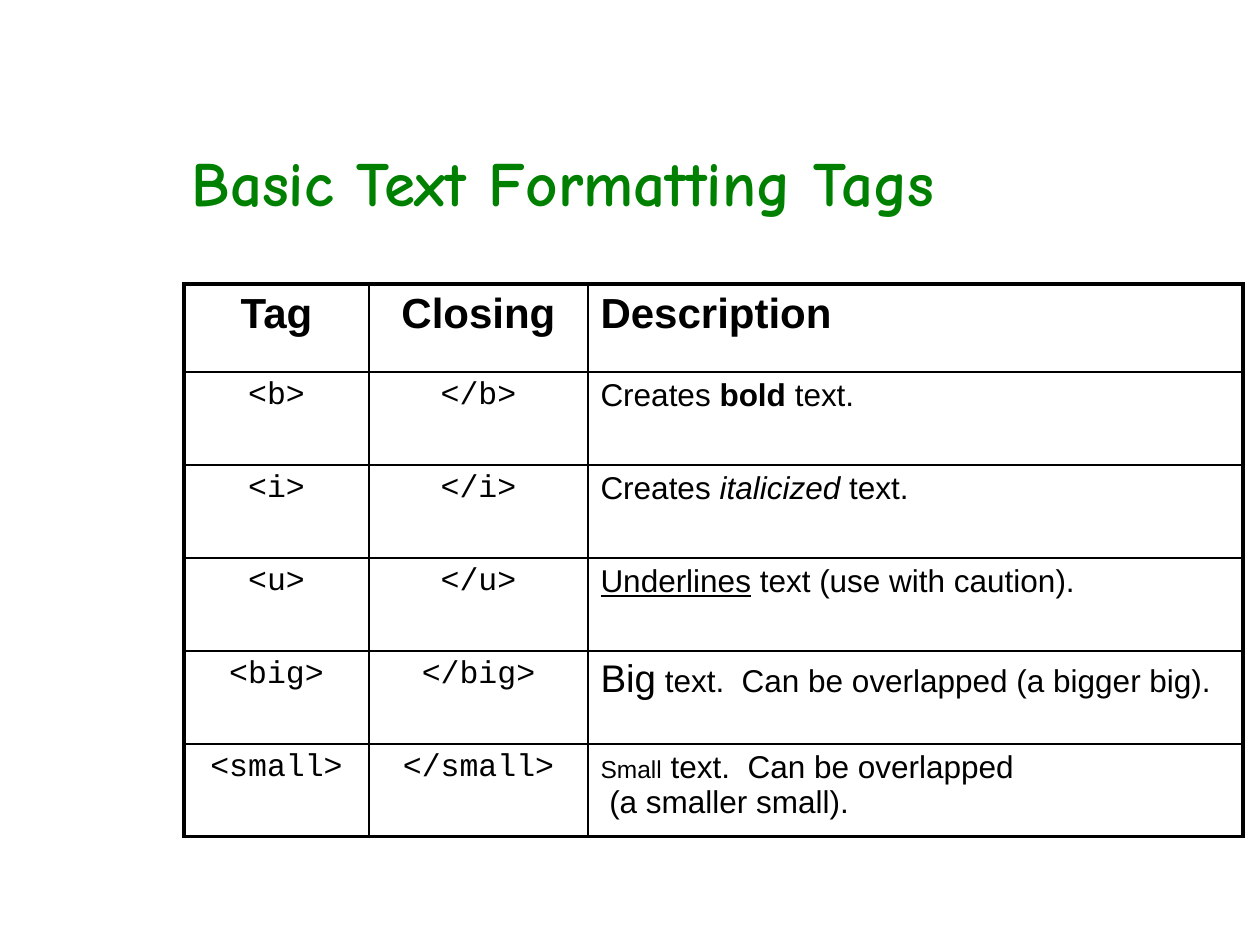
from lxml.etree import SubElement
from pptx import Presentation
from pptx.dml.color import RGBColor
from pptx.enum.text import MSO_ANCHOR as ANCHOR, MSO_AUTO_SIZE as AUTO, PP_ALIGN as ALIGN
from pptx.oxml.ns import qn
from pptx.util import Emu, Pt

PX_PER_INCH = 126
GREEN = RGBColor(0x00, 0x80, 0x00)
BLACK = RGBColor(0x00, 0x00, 0x00)
SANS, MONO, COMIC = "Arial", "Courier New", "Comic Neue"
THIN, THICK = 1, 2.25


def px(n):
    return Emu(round(n * 914400 / PX_PER_INCH))


class Deck:
    def __init__(self, width, height):
        self.prs = Presentation()
        self.prs.slide_width, self.prs.slide_height = px(width), px(height)
        self.s = self.prs.slides.add_slide(self.prs.slide_layouts[5])

    def run(self, p, text, size=18, font=SANS, color=BLACK, **style):
        """Add text to a paragraph; a newline becomes a line break."""
        for i, line in enumerate(text.split("\n")):
            if i:
                p.add_line_break()
            r = p.add_run()
            r.text = line
            r.font.size, r.font.name = Pt(size), font
            r.font.color.rgb = color
            for name, value in style.items():
                setattr(r.font, name, value)

    def title(self, text, x, y, w, h):
        sp = self.s.shapes.title
        sp.left, sp.top, sp.width, sp.height = px(x), px(y), px(w), px(h)
        tf = sp.text_frame
        tf.auto_size, tf.vertical_anchor = AUTO.NONE, ANCHOR.TOP
        p = tf.paragraphs[0]
        p.alignment = ALIGN.LEFT
        self.run(p, text, 36, COMIC, GREEN, bold=True)

    def borders(self, cell, widths):
        tc_pr = cell._tc.get_or_add_tcPr()
        for side, width in widths.items():
            ln = SubElement(tc_pr, qn(f"a:ln{side}"), w=str(Pt(width)))
            fill = SubElement(ln, qn("a:solidFill"))
            SubElement(fill, qn("a:srgbClr"), val=str(BLACK))

    def cell(self, cell, runs, align):
        p = cell.text_frame.paragraphs[0]
        p.alignment = align
        before = SubElement(p._p.get_or_add_pPr(), qn("a:spcBef"))
        SubElement(before, qn("a:spcPct"), val="20000")
        for text, style in runs:
            self.run(p, text, **style)

    def table(self, rows, x, y, col_widths, row_heights, aligns):
        n_rows, n_cols = len(row_heights), len(col_widths)
        table = self.s.shapes.add_table(n_rows, n_cols, px(x), px(y),
                                        px(sum(col_widths)), px(sum(row_heights))).table
        table.first_row = table.horz_banding = False
        for col, width in zip(table.columns, col_widths):
            col.width = px(width)
        for i, (row, height) in enumerate(zip(rows, row_heights)):
            table.rows[i].height = px(height)
            for j, (runs, align) in enumerate(zip(row, aligns)):
                cell = table.cell(i, j)
                # Thick outer frame, thin inner grid
                outer = {"L": j == 0, "R": j == n_cols - 1,
                         "T": i == 0, "B": i == n_rows - 1}
                self.borders(cell, {k: THICK if edge else THIN
                                    for k, edge in outer.items()})
                cell.fill.background()
                self.cell(cell, runs, align)


PLAIN = {}
HEAD = {"size": 24, "bold": True}
CODE = {"font": MONO}

# Tag name and the runs of its description
TAGS = [
    ("b", [("Creates ", PLAIN), ("bold", {"bold": True}), (" text.", PLAIN)]),
    ("i", [("Creates ", PLAIN), ("italicized", {"italic": True}), (" text.", PLAIN)]),
    ("u", [("Underlines", {"underline": True}), (" text (use with caution).", PLAIN)]),
    ("big", [("Big", {"size": 22}),
             (" text.  Can be overlapped (a bigger big).", PLAIN)]),
    ("small", [("Small", {"size": 14}),
               (" text.  Can be overlapped\n (a smaller small).", PLAIN)]),
]


def main():
    deck = Deck(1260, 945)

    # Title
    deck.title("Basic Text Formatting Tags", 179, 137, 1071, 158)

    # Tag table
    rows = [[[(text, HEAD)] for text in ("Tag", "Closing", "Description")]]
    rows += [[[(f"<{tag}>", CODE)], [(f"</{tag}>", CODE)], description]
             for tag, description in TAGS]
    deck.table(rows, 184, 284, [185, 219, 655], [88] + [93] * len(TAGS),
               [ALIGN.CENTER, ALIGN.CENTER, ALIGN.LEFT])

    deck.prs.save("out.pptx")


if __name__ == "__main__":
    main()
